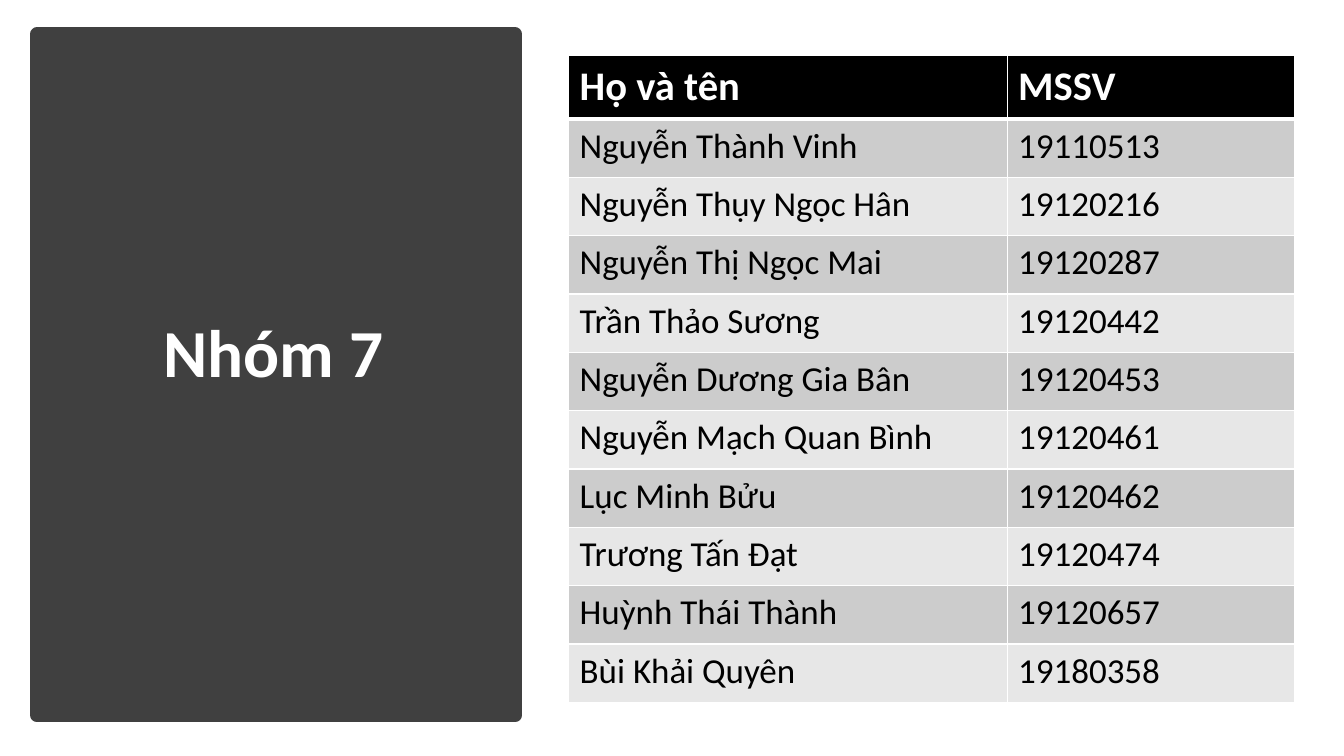
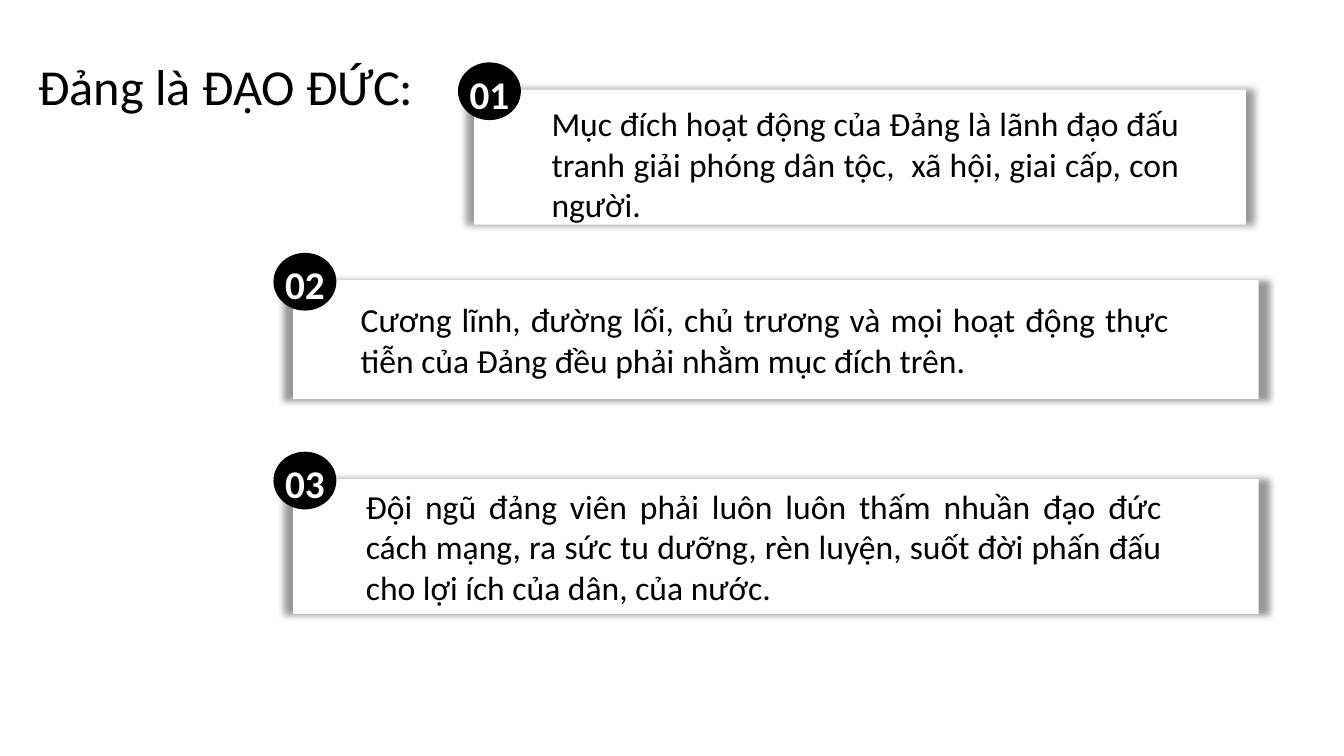
from lxml.etree import SubElement
from pptx import Presentation
from pptx.dml.color import RGBColor
from pptx.enum.shapes import MSO_SHAPE as Shape
from pptx.enum.text import MSO_ANCHOR as Anchor, MSO_AUTO_SIZE as AutoSize, PP_ALIGN as Align
from pptx.oxml import parse_xml
from pptx.oxml.ns import nsdecls, qn
from pptx.util import Cm, Pt

BLACK = RGBColor(0x00, 0x00, 0x00)
WHITE = RGBColor(0xFF, 0xFF, 0xFF)
CHARCOAL = RGBColor(0x40, 0x40, 0x40)
BANDS = [RGBColor(0xE7, 0xE7, 0xE7), RGBColor(0xCC, 0xCC, 0xCC)]

FONT = "Calibri"
TITLE_ONLY = 5
SHADOW = f"""<a:effectLst {nsdecls("a")}>
<a:outerShdw blurRad="63500" sx="102000" sy="100000" algn="ctr" rotWithShape="0">
<a:srgbClr val="000000"><a:alpha val="40000"/></a:srgbClr>
</a:outerShdw></a:effectLst>"""


def write_text(frame, text, size, color, bold=False, align=Align.LEFT, **frame_format):
    for name, value in frame_format.items():
        setattr(frame, name, value)
    para = frame.paragraphs[0]
    para.alignment = align
    span = para.add_run()
    span.text = text
    for name, value in {"name": FONT, "size": Pt(size), "bold": bold}.items():
        setattr(span.font, name, value)
    span.font.color.rgb = color
    return para


def add_block(page, kind, left, top, width, height, color, line_width=0):
    block = page.shapes.add_shape(kind, Cm(left), Cm(top), Cm(width), Cm(height))
    block.shadow.inherit = False
    block.fill.solid()
    block.fill.fore_color.rgb = color
    if line_width:
        block.line.color.rgb = color
        block.line.width = Pt(line_width)
    else:
        block.line.fill.background()
    return block


deck = Presentation()
deck.slide_width, deck.slide_height = Cm(33.87), Cm(19.05)
pages, titles = [], []
title_styles = [
    {"text": "Nhóm 7", "size": 48, "color": WHITE, "bold": True, "align": Align.CENTER,
     "vertical_anchor": Anchor.MIDDLE},
    {"text": "Đảng là ĐẠO ĐỨC:", "size": 36, "color": BLACK, "vertical_anchor": Anchor.TOP},
]
title_places = [(2.06, 2.06, 9.65, 13.79), (0.71, 1.27, 10.64, 1.8)]
for style, place in zip(title_styles, title_places):
    page = deck.slides.add_slide(deck.slide_layouts[TITLE_ONLY])
    title = page.shapes.title
    for name, value in zip(("left", "top", "width", "height"), place):
        setattr(title, name, Cm(value))
    write_text(title.text_frame, **style, word_wrap=True, auto_size=AutoSize.NONE)
    pages.append(page)
    titles.append(title)

group_page, ethics_page = pages

panel = add_block(group_page, Shape.RECTANGLE, 0.94, 0.86, 12.04, 17.17, CHARCOAL, 10)
titles[0]._element.addprevious(panel._element)
titles[0].text_frame.paragraphs[0].line_spacing = 0.9

members = [
    ("Họ và tên", "MSSV"),
    ("Nguyễn Thành Vinh", "19110513"),
    ("Nguyễn Thụy Ngọc Hân", "19120216"),
    ("Nguyễn Thị Ngọc Mai", "19120287"),
    ("Trần Thảo Sương", "19120442"),
    ("Nguyễn Dương Gia Bân", "19120453"),
    ("Nguyễn Mạch Quan Bình", "19120461"),
    ("Lục Minh Bửu", "19120462"),
    ("Trương Tấn Đạt", "19120474"),
    ("Huỳnh Thái Thành", "19120657"),
    ("Bùi Khải Quyên", "19180358"),
]
column_widths = [11.05, 7.25]
header_height, row_height = 1.6, 1.47
table = group_page.shapes.add_table(
    len(members), 2, Cm(14.33), Cm(1.4), Cm(sum(column_widths)),
    Cm(header_height + row_height * (len(members) - 1)),
).table
for column, width in zip(table.columns, column_widths):
    column.width = Cm(width)

cell_margins = {"margin_left": Cm(0.28), "margin_right": Cm(0.28),
                "margin_top": Cm(0.15), "margin_bottom": Cm(0.15)}
for index, member in enumerate(members):
    header = index == 0
    table.rows[index].height = Cm(header_height if header else row_height)
    for cell, text in zip(table.rows[index].cells, member):
        for name, value in cell_margins.items():
            setattr(cell, name, value)
        for side in ("lnL", "lnR", "lnT", "lnB"):
            thick = (header and side == "lnB") or (index == 1 and side == "lnT")
            border = SubElement(cell._tc.get_or_add_tcPr(), qn(f"a:{side}"),
                                w=str(Pt(3 if thick else 1)))
            fill = SubElement(border, qn("a:solidFill"))
            SubElement(fill, qn("a:srgbClr"), val=str(WHITE))
        cell.fill.solid()
        cell.fill.fore_color.rgb = BLACK if header else BANDS[index % 2]
        write_text(cell.text_frame, text, 29 if header else 25,
                   WHITE if header else BLACK, bold=header)

cards = [
    ((11.94, 2.26, 19.46, 3.4), 11.56, (1.96, 0.33, 1.68),
     "Mục đích hoạt động của Đảng là lãnh đạo đấu tranh giải phóng dân tộc,  xã hội, "
     "giai cấp, con người."),
    ((7.39, 7.06, 24.33, 3), 6.91, (1.7, 0, 2.26),
     "Cương lĩnh, đường lối, chủ trương và mọi hoạt động thực tiễn của Đảng đều phải "
     "nhằm mục đích trên."),
    ((7.39, 12.07, 24.33, 3.4), 6.91, (1.83, 0, 2.44),
     "Đội ngũ đảng viên phải luôn luôn thấm nhuần đạo đức cách mạng, ra sức tu dưỡng, "
     "rèn luyện, suốt đời phấn đấu cho lợi ích của dân, của nước."),
]
for number, (place, badge_left, (left, top, right), text) in enumerate(cards, 1):
    card = add_block(ethics_page, Shape.RECTANGLE, *place, WHITE)
    properties = card._element.spPr
    properties.replace(properties.find(qn("a:effectLst")), parse_xml(SHADOW))
    write_text(card.text_frame, text, 24, BLACK, align=Align.JUSTIFY, word_wrap=True,
               vertical_anchor=Anchor.MIDDLE, margin_left=Cm(left), margin_top=Cm(top),
               margin_right=Cm(right), margin_bottom=0)
    badge = add_block(ethics_page, Shape.OVAL, badge_left, place[1] - 0.67, 1.55, 1.42, BLACK, 1)
    write_text(badge.text_frame, f"{number:02}", 28, WHITE, bold=True, align=Align.CENTER,
               word_wrap=False, vertical_anchor=Anchor.MIDDLE, margin_left=0,
               margin_right=0, margin_top=Cm(0.13), margin_bottom=0)

deck.save("out.pptx")
